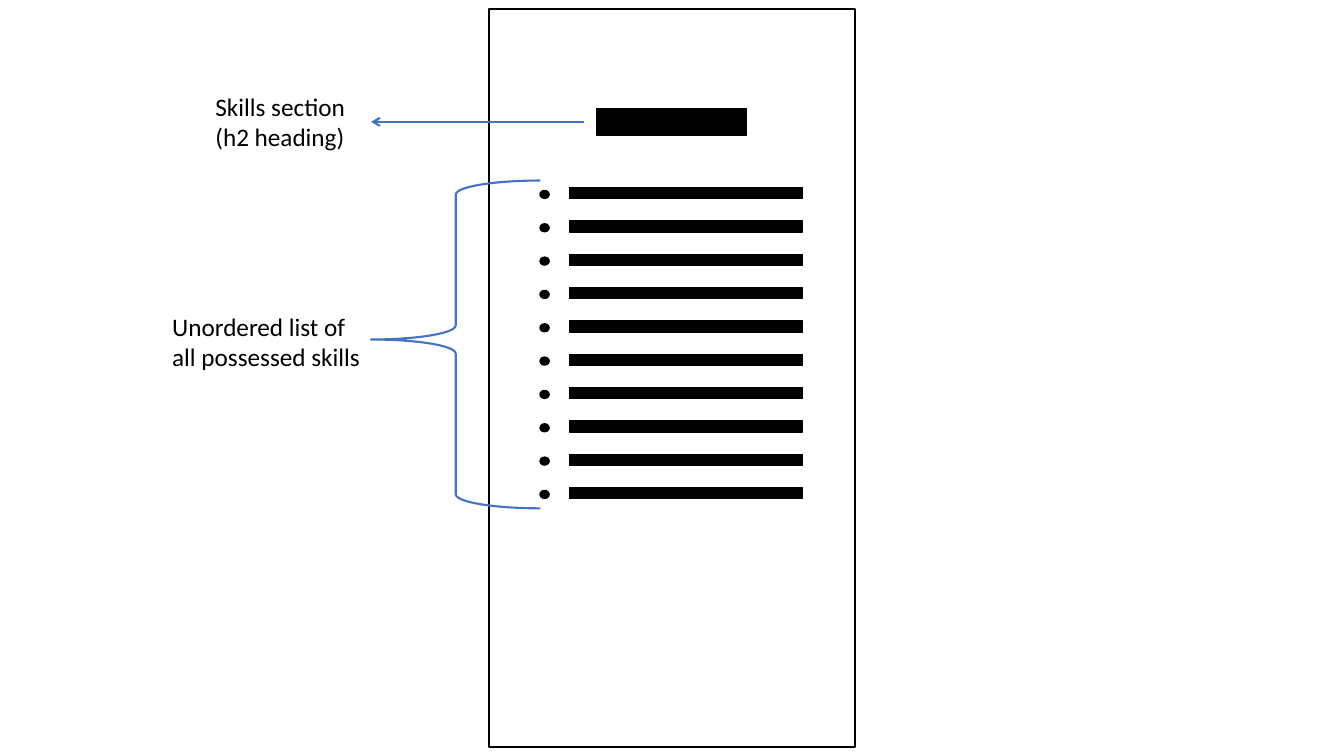
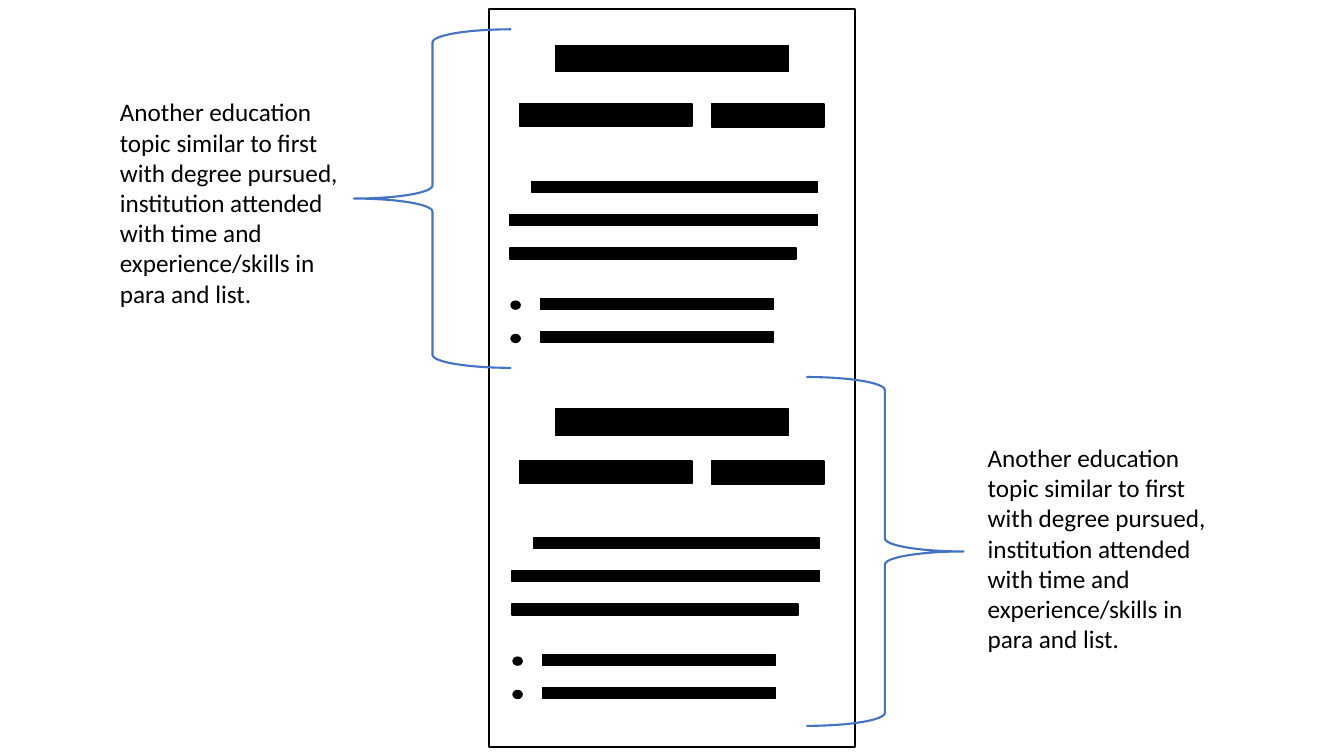
from dataclasses import dataclass

from lxml.etree import SubElement
from pptx import Presentation
from pptx.dml.color import RGBColor
from pptx.enum.shapes import MSO_CONNECTOR, MSO_SHAPE
from pptx.enum.text import MSO_AUTO_SIZE
from pptx.oxml.ns import qn
from pptx.util import Cm, Pt


@dataclass(frozen=True)
class Theme:
    """Colours, type and line widths shared by the slides."""
    ink: RGBColor = RGBColor(0x00, 0x00, 0x00)
    accent: RGBColor = RGBColor(0x44, 0x72, 0xC4)
    font: str = "Calibri"
    text_size: float = 18
    block_line: float = 1
    outline: float = 1.5


class Wireframe:
    """Draws annotated page wireframes; all lengths are centimetres."""
    PITCH = 0.84
    BAR_HEIGHT = 0.28

    def __init__(self, theme):
        """Start an empty widescreen presentation."""
        self.theme = theme
        self.presentation = Presentation()
        self.presentation.slide_width = Cm(33.87)
        self.presentation.slide_height = Cm(19.05)
        self.slide = None

    def add_page(self):
        """Add a blank slide with the outlined page."""
        layout = self.presentation.slide_layouts[6]
        self.slide = self.presentation.slides.add_slide(layout)
        self.outline(MSO_SHAPE.RECTANGLE, 12.32, 0.23, 9.22, 18.59, self.theme.ink)

    def shape(self, kind, left, top, width, height, color, line_width):
        """Add a shape without shadow and with a coloured line."""
        shape = self.slide.shapes.add_shape(
            kind, Cm(left), Cm(top), Cm(width), Cm(height))
        shape.shadow.inherit = False
        shape.line.color.rgb = color
        shape.line.width = Pt(line_width)
        return shape

    def outline(self, kind, left, top, width, height, color):
        """Add an unfilled shape."""
        shape = self.shape(kind, left, top, width, height, color, self.theme.outline)
        shape.fill.background()
        return shape

    def block(self, left, top, width, height=BAR_HEIGHT, kind=MSO_SHAPE.RECTANGLE):
        """Add a solid shape standing for content."""
        shape = self.shape(kind, left, top, width, height,
                           self.theme.ink, self.theme.block_line)
        shape.fill.solid()
        shape.fill.fore_color.rgb = self.theme.ink

    def bullet_list(self, left, top, count):
        """Add evenly spaced bars, each with a round bullet."""
        for index in range(count):
            bar_top = top + index * self.PITCH
            self.block(left, bar_top + 0.07, 0.23, 0.2, MSO_SHAPE.OVAL)
            self.block(left + 0.74, bar_top, 5.87)

    def education_entry(self, heading_top, row_top, body_left, body_top):
        """Add a heading, degree and dates, a paragraph and a short list."""
        self.block(14, heading_top, 5.87, 0.66)
        self.block(13.1, row_top, 4.34, 0.56)
        self.block(17.93, row_top, 2.84, 0.58)
        paragraph_bars = [(0.56, 7.19), (0, 7.75), (0, 7.21)]
        for index, (indent, width) in enumerate(paragraph_bars):
            self.block(body_left + indent, body_top + index * self.PITCH, width)
        self.bullet_list(body_left + 0.03, body_top + 2.95, 2)

    def brace(self, left, top, width, height, rotation=0, middle=0.5):
        """Add a brace that points left unless rotated."""
        shape = self.outline(MSO_SHAPE.LEFT_BRACE, left, top, width, height,
                             self.theme.accent)
        shape.adjustments[0] = 0.083
        shape.adjustments[1] = middle
        shape.rotation = rotation

    def arrow(self, start_x, end_x, y):
        """Add a horizontal arrow with its head at the end."""
        connector = self.slide.shapes.add_connector(
            MSO_CONNECTOR.STRAIGHT, Cm(start_x), Cm(y), Cm(end_x), Cm(y))
        connector.line.color.rgb = self.theme.accent
        connector.line.width = Pt(self.theme.outline)
        properties = connector.element.spPr
        SubElement(properties.find(qn("a:ln")), qn("a:tailEnd"), type="arrow")
        SubElement(properties, qn("a:effectLst"))

    def label(self, left, top, width, height, *lines):
        """Add a wrapping text box with one paragraph per line."""
        box = self.slide.shapes.add_textbox(Cm(left), Cm(top), Cm(width), Cm(height))
        frame = box.text_frame
        frame.word_wrap = True
        frame.auto_size = MSO_AUTO_SIZE.SHAPE_TO_FIT_TEXT
        for index, line in enumerate(lines):
            paragraph = frame.add_paragraph() if index else frame.paragraphs[0]
            run = paragraph.add_run()
            run.text = line
            run.font.name = self.theme.font
            run.font.size = Pt(self.theme.text_size)
            run.font.color.rgb = self.theme.ink


def build_skills(wireframe):
    """Build the slide of the skills section."""
    wireframe.add_page()
    wireframe.block(15.04, 2.74, 3.78, 0.66)
    wireframe.bullet_list(13.61, 4.73, 10)
    wireframe.arrow(14.71, 9.35, 3.07)
    wireframe.label(5.18, 2.18, 5.49, 1.8, "Skills section ", "(h2 heading)")
    wireframe.brace(9.35, 4.55, 4.27, 8.26, middle=0.485)
    wireframe.label(4.09, 7.72, 5.49, 1.8, "Unordered list of all possessed skills")


def build_education(wireframe):
    """Build the slide of the two further education topics."""
    note = ("Another education topic similar to first with degree pursued, "
            "institution attended with time and experience/skills in para and list.")
    wireframe.add_page()
    wireframe.education_entry(1.14, 2.62, 12.85, 4.57)
    wireframe.education_entry(10.31, 11.62, 12.9, 13.54)
    wireframe.label(2.77, 2.31, 6.53, 5.64, note)
    wireframe.brace(8.92, 0.74, 3.96, 8.53)
    wireframe.brace(20.32, 9.5, 3.96, 8.79, rotation=180)
    wireframe.label(24.64, 11.02, 6.53, 5.64, note)


def main():
    """Build both slides and save them."""
    wireframe = Wireframe(Theme())
    build_skills(wireframe)
    build_education(wireframe)
    wireframe.presentation.save("out.pptx")


main()
